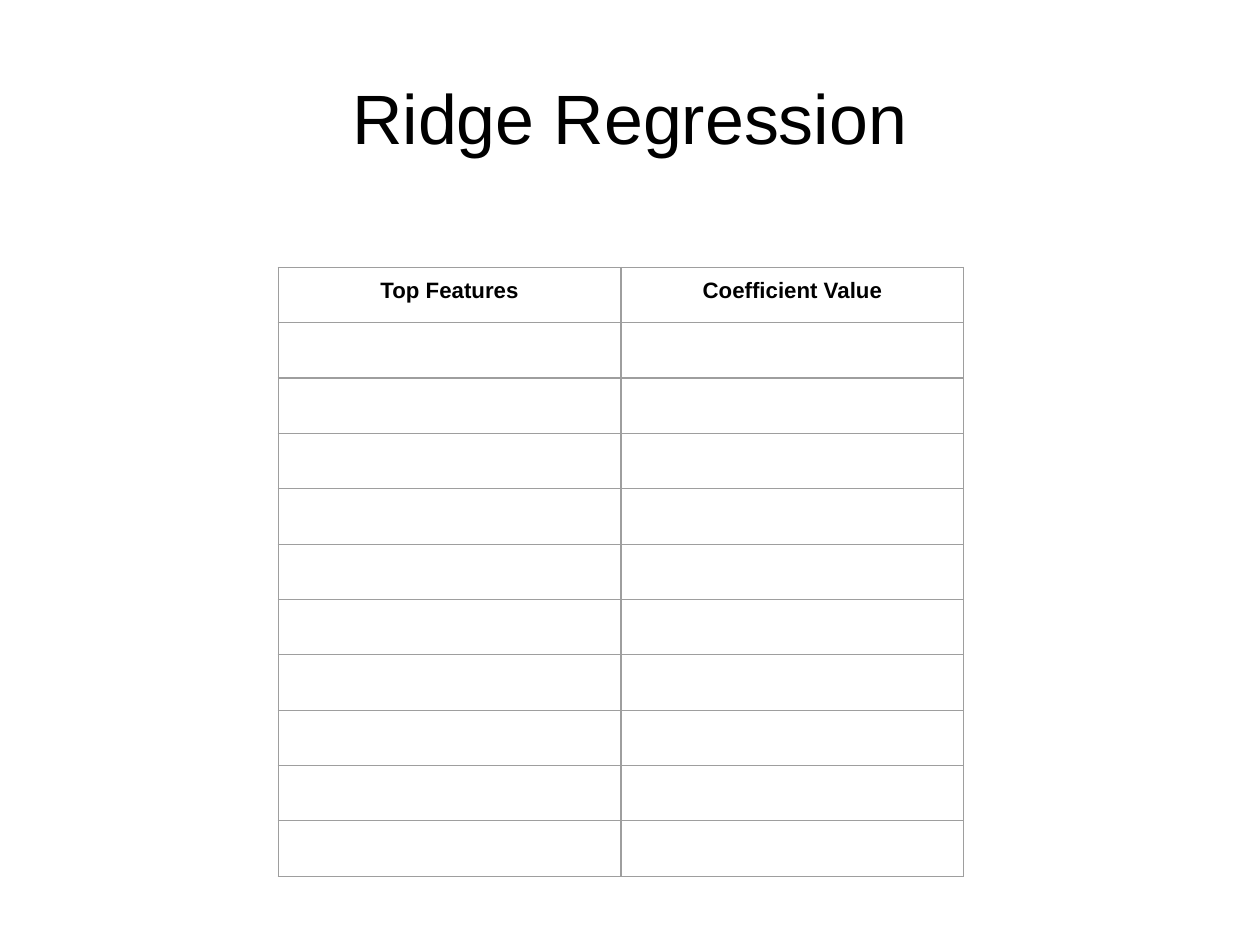
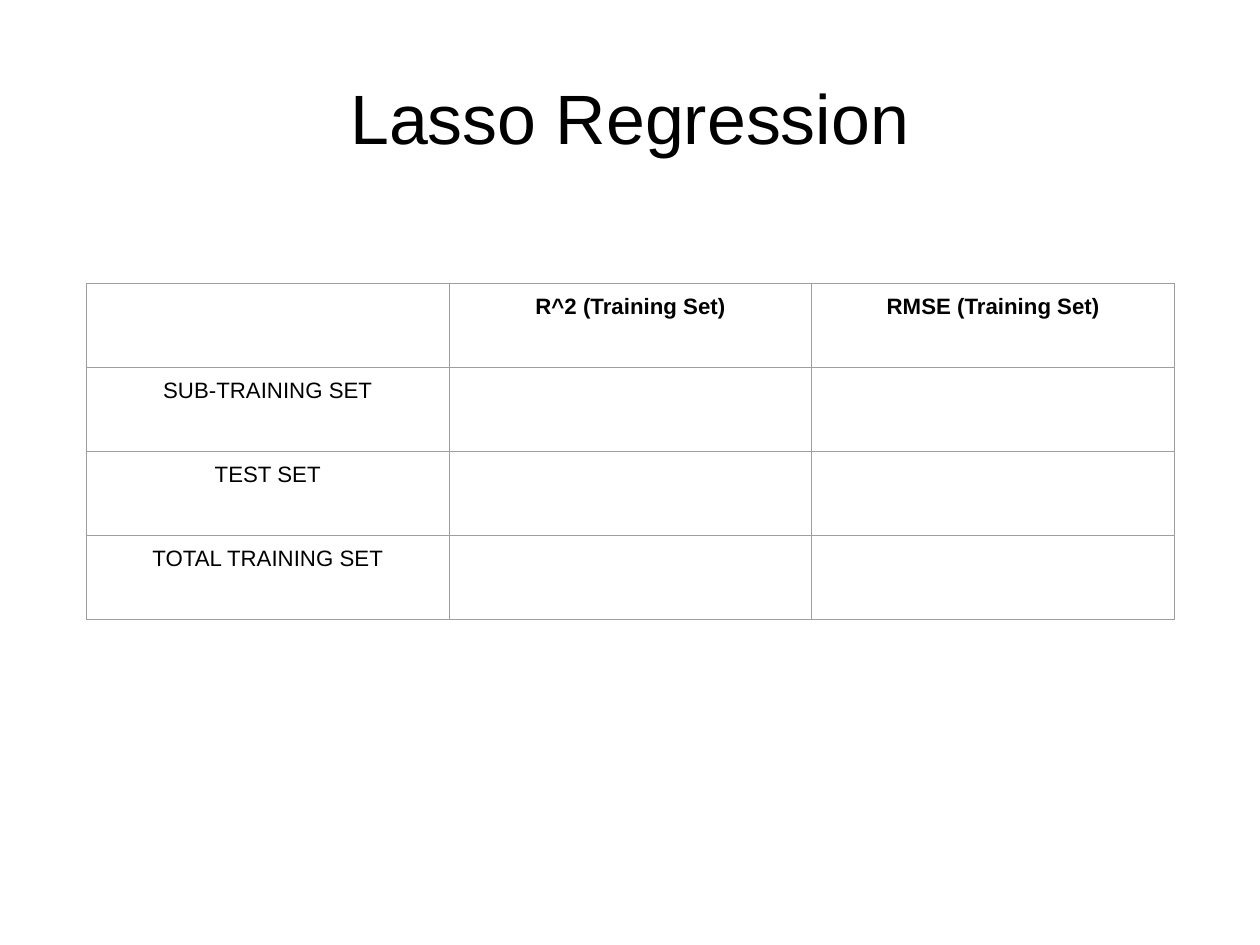
from lxml.etree import SubElement
from pptx import Presentation
from pptx.dml.color import RGBColor
from pptx.enum.text import MSO_ANCHOR as Anchor, MSO_AUTO_SIZE as AutoSize, PP_ALIGN as Align
from pptx.oxml.ns import qn
from pptx.util import Cm, Pt


def color(value):
    return RGBColor.from_string(value)


class Deck:
    FONT = "Arial"
    TEXT = "000000"
    PAPER = "FFFFFF"
    BORDER = "9E9E9E"
    BORDER_WIDTH = Pt(0.75)
    TITLE_SIZE = 44
    CELL_SIZE = 14
    CELL_MARGIN = Cm(0.25)
    TITLE_BOX = (1.4, 0.83, 25.2, 3.5)

    def __init__(self):
        self.presentation = Presentation()
        self.presentation.slide_width = Cm(28)
        self.presentation.slide_height = Cm(21)
        self.slide = None

    def add_slide(self, title):
        layout = self.presentation.slide_layouts.get_by_name("Title Only")
        self.slide = self.presentation.slides.add_slide(layout)
        shape = self.slide.shapes.title
        shape.left, shape.top, shape.width, shape.height = map(Cm, self.TITLE_BOX)
        frame = shape.text_frame
        frame.margin_left = frame.margin_right = frame.margin_top = frame.margin_bottom = 0
        frame.auto_size = AutoSize.NONE
        frame.word_wrap = True
        frame.vertical_anchor = Anchor.MIDDLE
        self.set_text(frame, title, self.TITLE_SIZE)

    def set_text(self, frame, text, size, bold=False):
        frame.text = text
        paragraph = frame.paragraphs[0]
        paragraph.alignment = Align.CENTER
        font = paragraph.font
        font.name, font.size, font.bold = self.FONT, Pt(size), bold
        font.color.rgb = color(self.TEXT)

    def add_table(self, left, top, column_width, row_height, rows):
        row_count, column_count = len(rows), len(rows[0])
        table = self.slide.shapes.add_table(
            row_count, column_count, Cm(left), Cm(top),
            Cm(column_width * column_count), Cm(row_height * row_count)).table
        table.first_row = table.horz_banding = False
        for column in table.columns:
            column.width = Cm(column_width)
        for row in table.rows:
            row.height = Cm(row_height)
        for row_index, texts in enumerate(rows):
            for column_index, text in enumerate(texts):
                cell = table.cell(row_index, column_index)
                self.style_cell(cell)
                if text:
                    self.set_text(cell.text_frame, text, self.CELL_SIZE, bold=row_index == 0)
                    cell.margin_left = cell.margin_right = self.CELL_MARGIN
                    cell.margin_top = cell.margin_bottom = self.CELL_MARGIN

    def style_cell(self, cell):
        properties = cell._tc.get_or_add_tcPr()
        for side in ("lnL", "lnR", "lnT", "lnB"):
            line = SubElement(properties, qn(f"a:{side}"), w=str(int(self.BORDER_WIDTH)))
            fill = SubElement(line, qn("a:solidFill"))
            SubElement(fill, qn("a:srgbClr"), val=self.BORDER)
        cell.fill.solid()
        cell.fill.fore_color.rgb = color(self.PAPER)


def main():
    deck = Deck()

    deck.add_slide("Ridge Regression")
    feature_rows = [("Top Features", "Coefficient Value")] + [("", "")] * 10
    deck.add_table(6.18, 5.94, 7.62, 1.23, feature_rows)

    deck.add_slide("Lasso Regression")
    score_rows = [("", "R^2 (Training Set)", "RMSE (Training Set)")]
    score_rows += [(name, "", "") for name in ("SUB-TRAINING SET", "TEST SET", "TOTAL TRAINING SET")]
    deck.add_table(1.92, 6.29, 8.06, 1.87, score_rows)

    deck.presentation.save("out.pptx")


if __name__ == "__main__":
    main()
